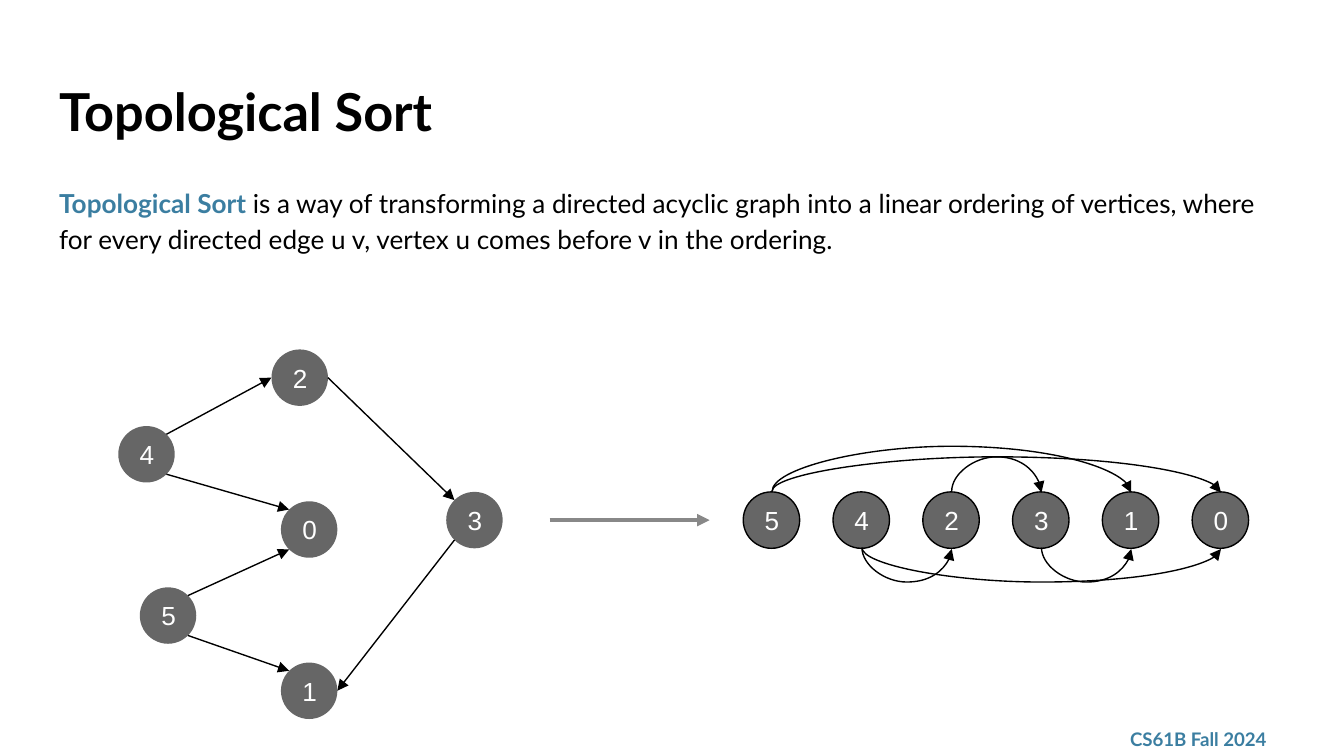
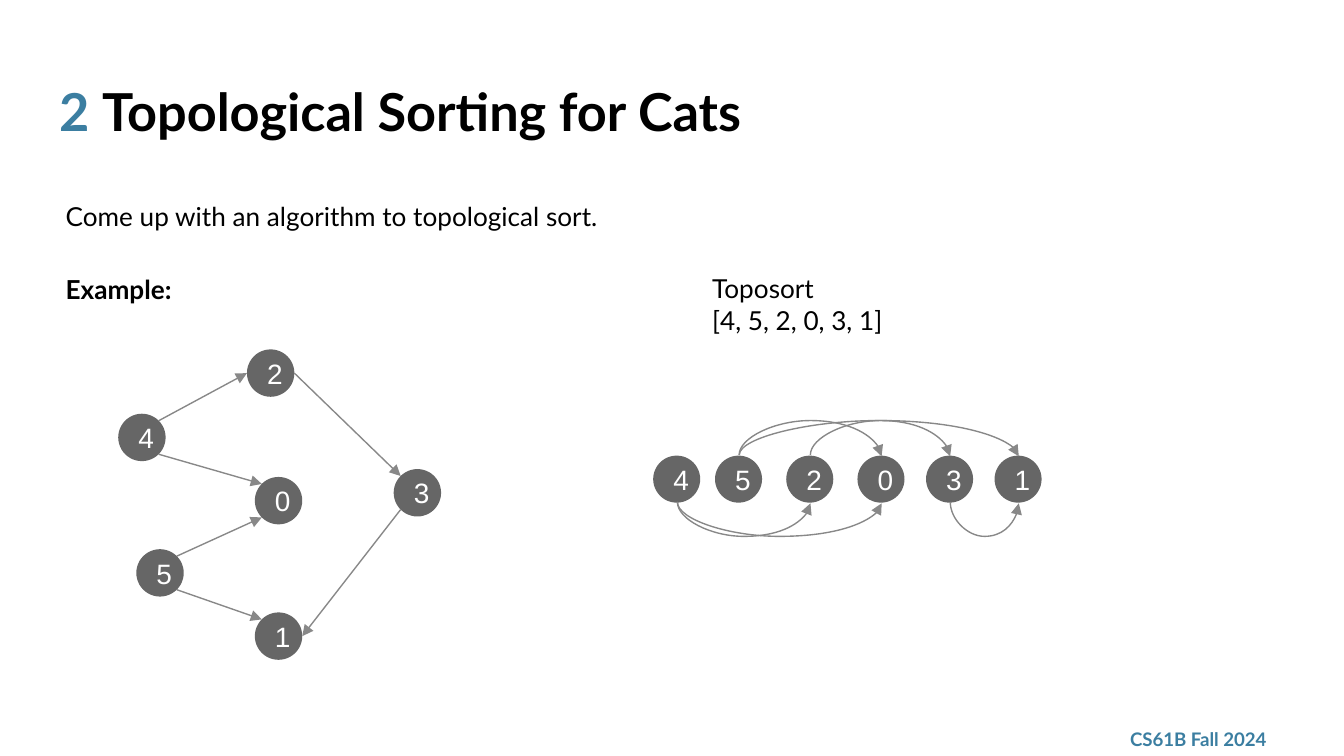
"""Build two slides on topological sort with python-pptx."""
from math import cos, radians, sin

from lxml.etree import SubElement
from pptx import Presentation
from pptx.dml.color import RGBColor
from pptx.enum.shapes import MSO_CONNECTOR, MSO_SHAPE
from pptx.enum.text import MSO_ANCHOR, MSO_AUTO_SIZE, PP_ALIGN
from pptx.oxml.ns import qn
from pptx.util import Inches, Pt

BLUE, BLACK, WHITE = "3B7EA1", "000000", "FFFFFF"
DARK, GREY = "666666", "888888"
SIDES = {"e": 0, "se": 45, "s": 90, "sw": 135,
         "w": 180, "nw": 225, "n": 270, "ne": 315}
SPOTS = {"5": (0.16, 1.77), "4": (0, 0.57), "0": (1.21, 1.13),
         "2": (1.14, 0), "1": (1.21, 2.33), "3": (2.44, 1.06)}
EDGES = [("5", "se", "1", "nw", "n"), ("5", "ne", "0", "sw", "n"),
         ("4", "se", "0", "nw", "s"), ("4", "ne", "2", "w", "s"),
         ("2", "e", "3", "nw", "n"), ("3", "sw", "1", "e", "s")]
SIZE, LEFT, TOP = 0.42, 0.88, 2.6
THIN, DEPTH = 0.01, 0.26


def paint(color, code):
    """Set a colour from a hex string."""
    color.rgb = RGBColor.from_string(code)


def add_run(para, text, size, code, bold=False, font="Lato"):
    """Add one styled run to a paragraph."""
    run = para.add_run()
    run.text = text
    run.font.name, run.font.size, run.font.bold = font, Pt(size), bold
    paint(run.font.color, code)


def set_frame(shape, anchor=MSO_ANCHOR.TOP, fit=MSO_AUTO_SIZE.NONE):
    """Set insets, wrap and anchor, and return the first paragraph."""
    frame = shape.text_frame
    frame.margin_left = frame.margin_right = Inches(0.1)
    frame.margin_top = frame.margin_bottom = Inches(0.1)
    frame.word_wrap, frame.auto_size = True, fit
    frame.vertical_anchor = anchor
    return frame.paragraphs[0]


def place(holder, left, top, width, height):
    """Move a placeholder and return its plain first paragraph."""
    holder.left, holder.top = Inches(left), Inches(top)
    holder.width, holder.height = Inches(width), Inches(height)
    para = set_frame(holder)
    para.alignment, para.space_before = PP_ALIGN.LEFT, Pt(0)
    return para


def add_box(slide, left, top, width, height, **style):
    """Add a text box and return its first paragraph and frame."""
    box = slide.shapes.add_textbox(
        Inches(left), Inches(top), Inches(width), Inches(height))
    return set_frame(box, **style), box.text_frame


def add_slide(deck, layout, title):
    """Add a slide with a title of coloured runs and the footer."""
    slide = deck.slides.add_slide(deck.slide_layouts[layout])
    para = place(slide.shapes.title, 0.34, 0.49, 9.32, 0.63)
    for text, code in title:
        add_run(para, text, 28, code, True)
    foot, _ = add_box(slide, 8.31, 5.37, 1.35, 0.26, anchor=MSO_ANCHOR.MIDDLE)
    add_run(foot, "CS61B Fall 2024", 10, BLUE, True)
    return slide


def add_node(slide, label, spot, size, points, edge=None):
    """Add a round graph node at its left top spot."""
    node = slide.shapes.add_shape(
        MSO_SHAPE.OVAL, *map(Inches, (*spot, size, size)))
    node.shadow.inherit = False
    node.fill.solid()
    paint(node.fill.fore_color, DARK)
    if edge:
        paint(node.line.color, edge)
        node.line.width = Pt(0.75)
    else:
        node.line.fill.background()
    para = set_frame(node, MSO_ANCHOR.MIDDLE)
    para.alignment = PP_ALIGN.CENTER
    add_run(para, label, points, WHITE, font="Arial")


def add_arrow(slide, start, end, code, width=0.75, kind=MSO_CONNECTOR.STRAIGHT):
    """Add a connector with a triangle at its end."""
    arrow = slide.shapes.add_connector(kind, *map(Inches, (*start, *end)))
    paint(arrow.line.color, code)
    arrow.line.width = Pt(width)
    props = arrow.element.spPr
    SubElement(props.find(qn("a:ln")), qn("a:tailEnd"), type="triangle")
    SubElement(props, qn("a:effectLst"))
    return arrow


def add_arc(slide, start, end, rise, code):
    """Add a curved arrow that bows up by rise, or down if negative."""
    mid, half = (start[0] + end[0]) / 2, (end[0] - start[0]) / 2
    arc = add_arrow(slide, (mid, start[1] - half), (mid + THIN, start[1] + half),
                    code, kind=MSO_CONNECTOR.CURVE)
    props = arc.element.spPr
    form = props.find(qn("a:xfrm"))
    form.set("rot", "16200000")
    form.set("flipH", "1")
    guides = props.find(qn("a:prstGeom")).get_or_add_avLst()
    SubElement(guides, qn("a:gd"), name="adj1",
               fmla=f"val {round(-rise / THIN * 100000)}")


def rim(spot, size, side):
    """Find the point on a node's rim at a compass side."""
    turn = radians(SIDES[side])
    return (spot[0] + size / 2 * (1 + cos(turn)),
            spot[1] + size / 2 * (1 + sin(turn)))


def draw_graph(slide, scale, points, code):
    """Draw the directed graph at a scale."""
    size = SIZE * scale
    spots = {key: (LEFT + x * scale, TOP + y * scale)
             for key, (x, y) in SPOTS.items()}
    for key, spot in spots.items():
        add_node(slide, key, spot, size, points)
    for tail, out, head, into, _ in EDGES:
        add_arrow(slide, rim(spots[tail], size, out),
                  rim(spots[head], size, into), code)


def draw_row(slide, lefts, top, size, points, code, edge=None, tall=DEPTH):
    """Draw the sorted row, with its arc from 5 to 1 as tall as given."""
    spots = {key: (left, top) for key, left in lefts.items()}
    for key, spot in spots.items():
        add_node(slide, key, spot, size, points, edge)
    for tail, _, head, _, side in EDGES:
        rise = tall if (tail, head) == ("5", "1") else DEPTH
        add_arc(slide, rim(spots[tail], size, side), rim(spots[head], size, side),
                rise if side == "n" else -rise, code)


def define_sort(deck):
    """Build the slide that defines topological sort."""
    slide = add_slide(deck, 1, [("Topological Sort", BLACK)])
    para = place(slide.placeholders[1], 0.34, 1.26, 9.32, 1.13)
    para.line_spacing = 1.15
    props = para._p.get_or_add_pPr()
    props.set("marL", "0")
    props.set("indent", "0")
    SubElement(props, qn("a:buNone"))
    add_run(para, "Topological Sort ", 14, BLUE, True)
    add_run(para, "is a way of transforming a directed acyclic graph into a "
            "linear ordering of vertices, where for every directed edge u v, "
            "vertex u comes before v in the ordering.", 14, BLACK)
    draw_graph(slide, 1, 14, BLACK)
    add_arrow(slide, (4.09, 3.87), (5.28, 3.87), GREY, 2.25)
    lefts = {key: 5.53 + 3.34 / 5 * i for i, key in enumerate("542310")}
    draw_row(slide, lefts, 3.66, SIZE, 14, BLACK, BLACK, 0.34)


def show_task(deck):
    """Build the slide that sets the task with an example."""
    slide = add_slide(deck, 5, [("2 ", BLUE),
                                ("Topological Sorting for Cats", BLACK)])
    grow = MSO_AUTO_SIZE.SHAPE_TO_FIT_TEXT
    task, frame = add_box(slide, 0.39, 1.36, 8.97, 0.98, fit=grow)
    add_run(task, "Come up with an algorithm to topological sort.", 14, BLACK)
    lead = frame.add_paragraph()
    add_run(lead, "Example:", 14, BLACK, True)
    task.line_spacing = lead.line_spacing = 1.15
    lead.space_before = Pt(19.3)
    name, frame = add_box(slide, 5.2, 1.93, 1.58, 0.67, fit=grow)
    add_run(name, "Toposort", 14, BLACK)
    add_run(frame.add_paragraph(), "[4, 5, 2, 0, 3, 1]", 14, BLACK)
    draw_graph(slide, 0.84, 15, GREY)
    lefts = dict(zip("452031", (4.86, 5.32, 5.85, 6.38, 6.89, 7.4)))
    draw_row(slide, lefts, 3.39, 0.35, 15, GREY)


def main():
    """Build and save the deck."""
    deck = Presentation()
    deck.slide_width = Inches(10)
    deck.slide_height = Inches(10 * 9 / 16)
    define_sort(deck)
    show_task(deck)
    deck.save("out.pptx")


if __name__ == "__main__":
    main()
